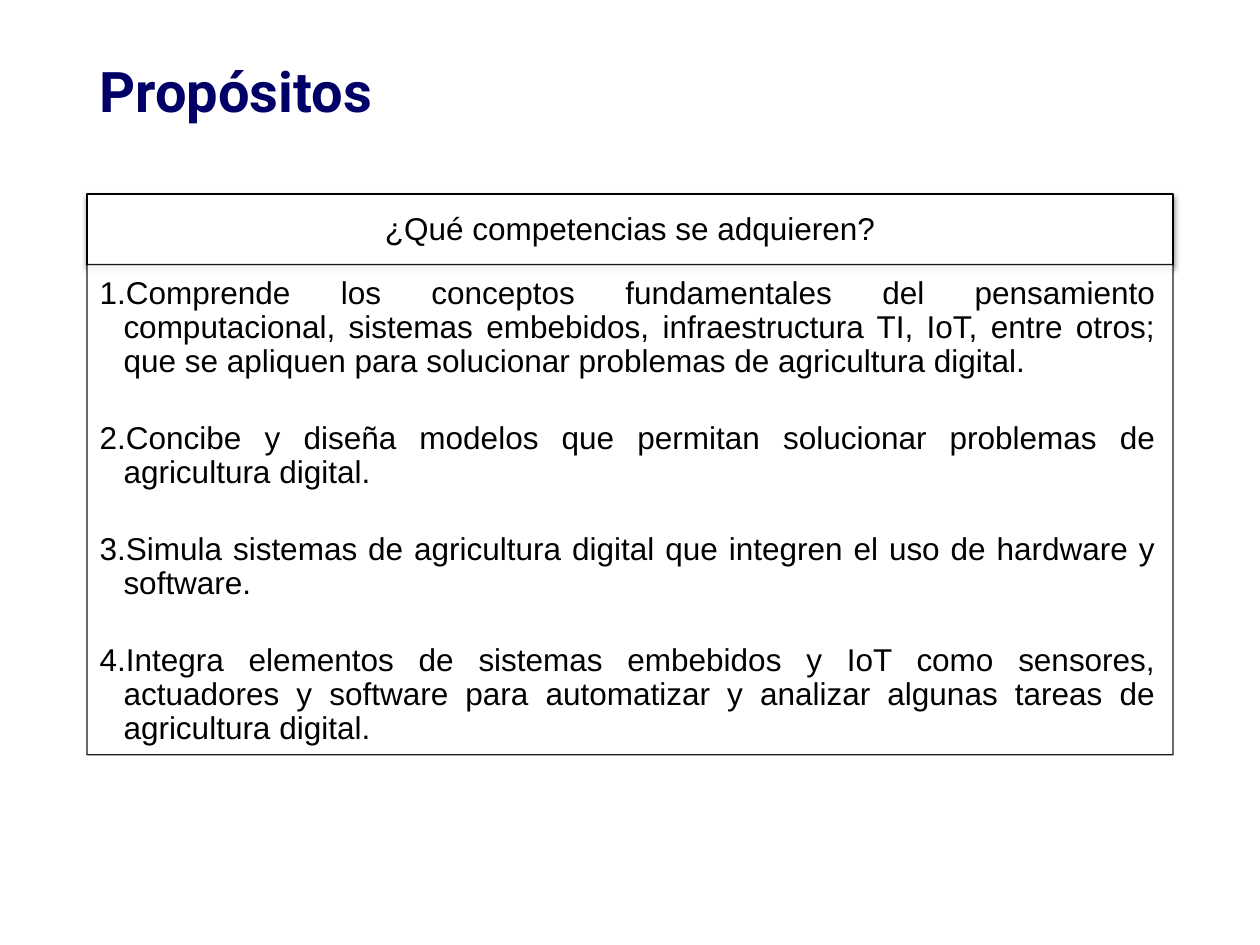
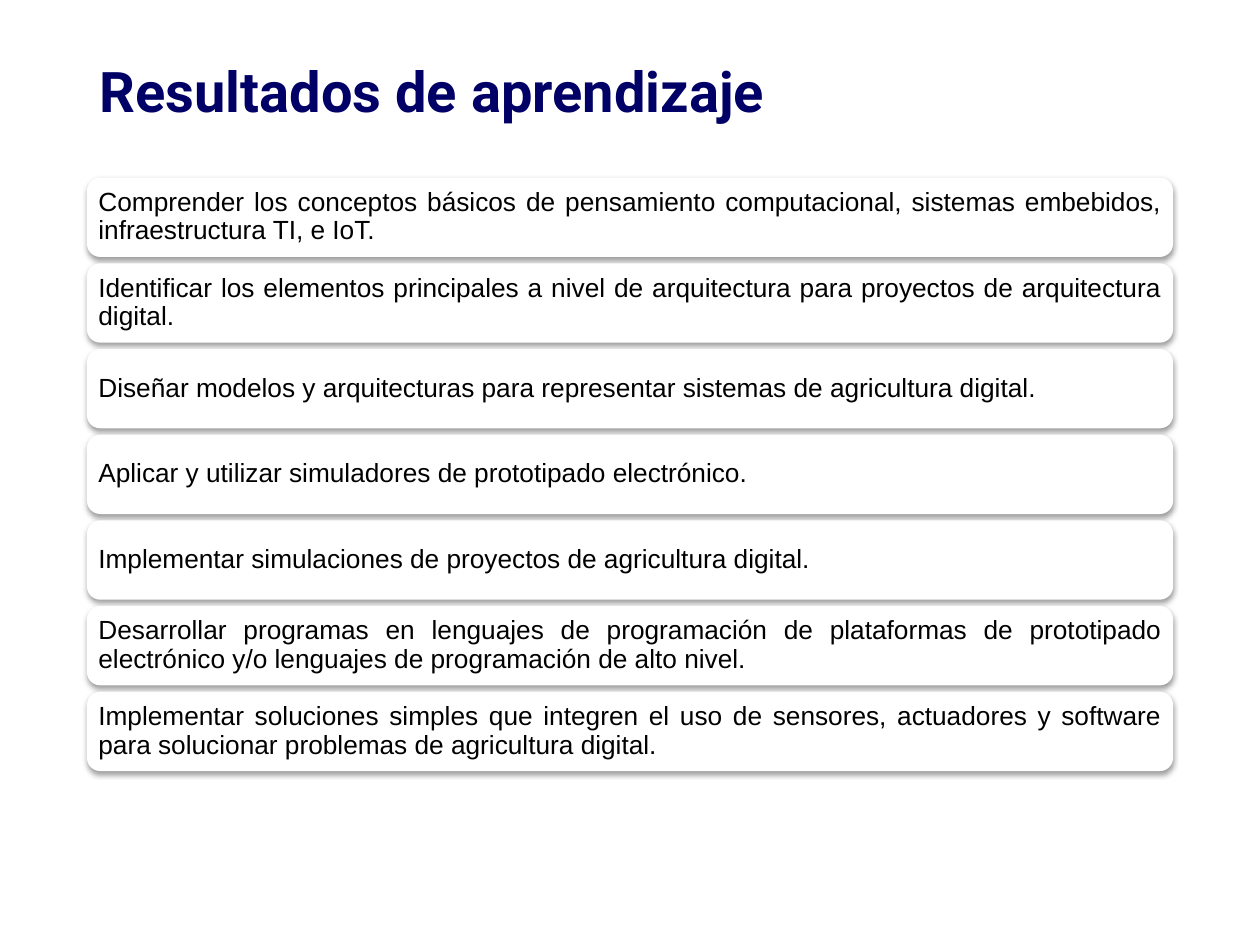
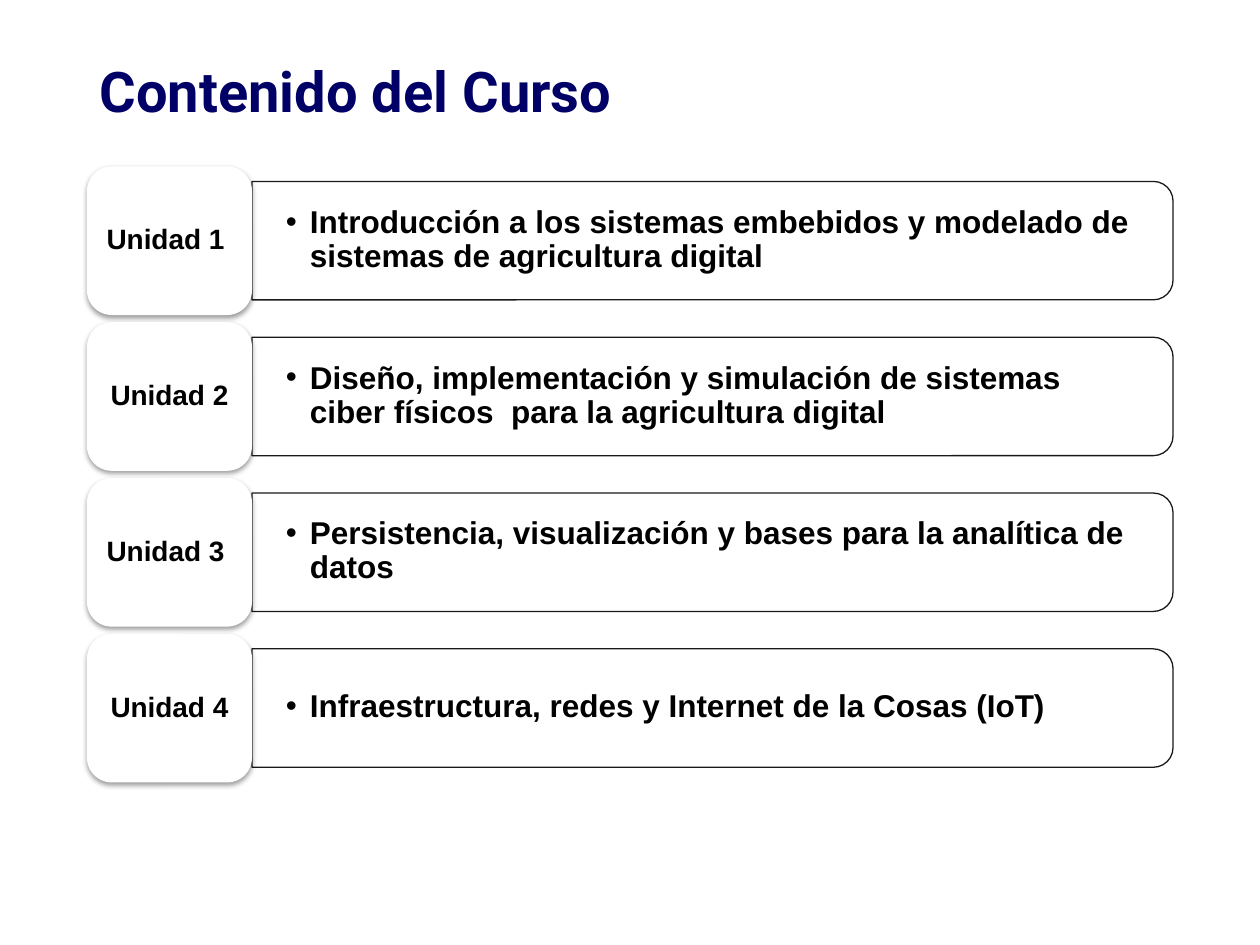
from lxml import etree
from pptx import Presentation
from pptx import util as u
from pptx.dml.color import RGBColor
from pptx.enum import shapes as sh, text as tx
from pptx.oxml.ns import qn

# Content
GOALS = {
    "title": "Propósitos",
    "head": "¿Qué competencias se adquieren?",
    "list": [
        "Comprende los conceptos fundamentales del pensamiento computacional, sistemas embebidos, "
        "infraestructura TI, IoT, entre otros; que se apliquen para solucionar problemas de "
        "agricultura digital.",
        "Concibe y diseña modelos que permitan solucionar problemas de agricultura digital.",
        "Simula sistemas de agricultura digital que integren el uso de hardware y software.",
        "Integra elementos de sistemas embebidos y IoT como sensores, actuadores y software para "
        "automatizar y analizar algunas tareas de agricultura digital.",
    ],
}
RESULTS = {
    "title": "Resultados de aprendizaje",
    "list": [
        "Comprender los conceptos básicos de pensamiento computacional, sistemas embebidos, "
        "infraestructura TI, e IoT.",
        "Identificar los elementos principales a nivel de arquitectura para proyectos de "
        "arquitectura digital.",
        "Diseñar modelos y arquitecturas para representar sistemas de agricultura digital.",
        "Aplicar y utilizar simuladores de prototipado electrónico.",
        "Implementar simulaciones de proyectos de agricultura digital.",
        "Desarrollar programas en lenguajes de programación de plataformas de prototipado "
        "electrónico y/o lenguajes de programación de alto nivel.",
        "Implementar soluciones simples que integren el uso de sensores, actuadores y software "
        "para solucionar problemas de agricultura digital.",
    ],
}
COURSE = {
    "title": "Contenido del Curso",
    "units": [
        ("Unidad 1 ", "Introducción a los sistemas embebidos y modelado de sistemas de "
                      "agricultura digital"),
        ("Unidad 2", "Diseño, implementación y simulación de sistemas ciber físicos  para la "
                     "agricultura digital"),
        ("Unidad 3 ", "Persistencia, visualización y bases para la analítica de datos"),
        ("Unidad 4", "Infraestructura, redes y Internet de la Cosas (IoT)"),
    ],
}

# Shared style
HUES = {"title": "000066", "ink": "000000", "paper": "FFFFFF"}
LEFT, WIDE = 0.69, 8.62
LAYOUT = {"list": 1, "title": 5}
ALIGN = tx.PP_ALIGN
MID, TOP = tx.MSO_ANCHOR.MIDDLE, tx.MSO_ANCHOR.TOP


def hue(name):
    return RGBColor.from_string(HUES[name])


def place(part, x, y, w, h):
    part.left, part.top, part.width, part.height = map(u.Inches, (x, y, w, h))


def sub(node, tag, **atts):
    return etree.SubElement(node, qn(tag), {k: str(v) for k, v in atts.items()})


def write(part, lines, size=18, font="Arial", color="ink", bold=False, align=ALIGN.LEFT,
          anchor=MID, pad=(0, 0, 0, 0), after=0, mark=None):
    """Fill a shape with paragraphs; mark is a bullet tag with its attributes."""
    frame = part.text_frame
    frame.word_wrap, frame.auto_size = True, tx.MSO_AUTO_SIZE.NONE
    frame.vertical_anchor = anchor
    (frame.margin_left, frame.margin_top,
     frame.margin_right, frame.margin_bottom) = map(u.Inches, pad)
    for i, line in enumerate(lines):
        para = frame.add_paragraph() if i else frame.paragraphs[0]
        para.alignment, para.line_spacing = align, 0.9
        para.space_before, para.space_after = u.Pt(0), u.Pt(after)
        run = para.add_run()
        run.text = line
        run.font.size, run.font.name, run.font.bold = u.Pt(size), font, bold
        run.font.color.rgb = hue(color)
        if mark:
            para.level = 1
            props = para._p.get_or_add_pPr()
            props.set("marL", str(u.Inches(0.19)))
            props.set("indent", str(u.Inches(-0.19)))
            sub(sub(props, "a:buClr"), "a:srgbClr", val=HUES["ink"])
            sub(props, "a:buFont", typeface="Arial")
            sub(props, mark[0], **mark[1])


def paint(part, line=True, clear=False, shade=False):
    """White fill, optional thin outline, slight transparency and soft shadow."""
    part.fill.solid()
    part.fill.fore_color.rgb = hue("paper")
    if line:
        part.line.color.rgb, part.line.width = hue("ink"), u.Pt(0.75)
    else:
        part.line.fill.background()
    props = part._element.spPr
    if clear:
        for tone in props.iter(qn("a:srgbClr")):
            sub(tone, "a:alpha", val=90000)
    part.shadow.inherit = False
    if shade:
        glow = sub(props.find(qn("a:effectLst")), "a:outerShdw", blurRad=u.Pt(3.1),
                   dist=u.Pt(1.6), dir=5400000, rotWithShape=0)
        sub(sub(glow, "a:srgbClr", val=HUES["ink"]), "a:alpha", val=38000)


def block(slide, kind, x, y, w, h, **look):
    part = slide.shapes.add_shape(kind, *map(u.Inches, (x, y, w, h)))
    paint(part, **look)
    return part


def start(deck, title, layout):
    slide = deck.slides.add_slide(deck.slide_layouts[LAYOUT[layout]])
    place(slide.shapes.title, LEFT, 0.4, WIDE, 0.7)
    write(slide.shapes.title, [title], size=32, font="Roboto", color="title", bold=True,
          pad=(0.1, 0.05, 0.1, 0.05))
    return slide


def goals(deck):
    slide = start(deck, GOALS["title"], "list")
    head = block(slide, sh.MSO_SHAPE.RECTANGLE, LEFT, 1.54, WIDE, 0.57, shade=True)
    write(head, [GOALS["head"]], align=ALIGN.CENTER, pad=(0.14, 0.08, 0.14, 0.08))
    body = slide.placeholders[1]
    place(body, LEFT, 2.1, WIDE, 3.89)
    paint(body, clear=True)
    write(body, GOALS["list"], align=ALIGN.JUSTIFY, anchor=TOP, pad=(0.1, 0.1, 0.14, 0.16),
          after=24.6, mark=("a:buAutoNum", {"type": "arabicPeriod"}))
    slide.shapes._spTree.append(body._element)  # list panel lies over the heading's shadow


def results(deck):
    slide = start(deck, RESULTS["title"], "title")
    for i, line in enumerate(RESULTS["list"]):
        card = block(slide, sh.MSO_SHAPE.ROUNDED_RECTANGLE, LEFT, 1.41 + i * 0.68, WIDE, 0.63,
                     line=False, shade=True)
        write(card, [line], size=15, align=ALIGN.JUSTIFY, pad=[0.06] * 4)


def course(deck):
    slide = start(deck, COURSE["title"], "title")
    tile, high, bar = 1.31, 1.18, 0.94
    edge, long = LEFT + tile, WIDE - tile
    turn = (long - bar) / 2  # shift between the upright and the turned bar
    step = 3.71 / (len(COURSE["units"]) - 1)
    for i, (name, topic) in enumerate(COURSE["units"]):
        y = 1.32 + i * step
        top = y + (high - bar) / 2
        back = block(slide, sh.MSO_SHAPE.ROUND_2_SAME_RECTANGLE, edge + turn, top - turn,
                     bar, long, clear=True)
        back.rotation = 90
        note = slide.shapes.add_textbox(*map(u.Inches, (edge, top + 0.04, 7.26, 0.85)))
        write(note, [topic], bold=True, pad=(0.27, 0.14, 0.27, 0.14),
              mark=("a:buChar", {"char": "•"}))
        card = block(slide, sh.MSO_SHAPE.ROUNDED_RECTANGLE, LEFT, y, tile, high,
                     line=False, shade=True)
        write(card, [name], size=16, bold=True, align=ALIGN.CENTER,
              pad=(0.07, 0.03, 0.07, 0.03))


def main():
    deck = Presentation()
    deck.slide_width, deck.slide_height = u.Inches(10), u.Inches(7.5)
    goals(deck)
    results(deck)
    course(deck)
    deck.save("out.pptx")


if __name__ == "__main__":
    main()
